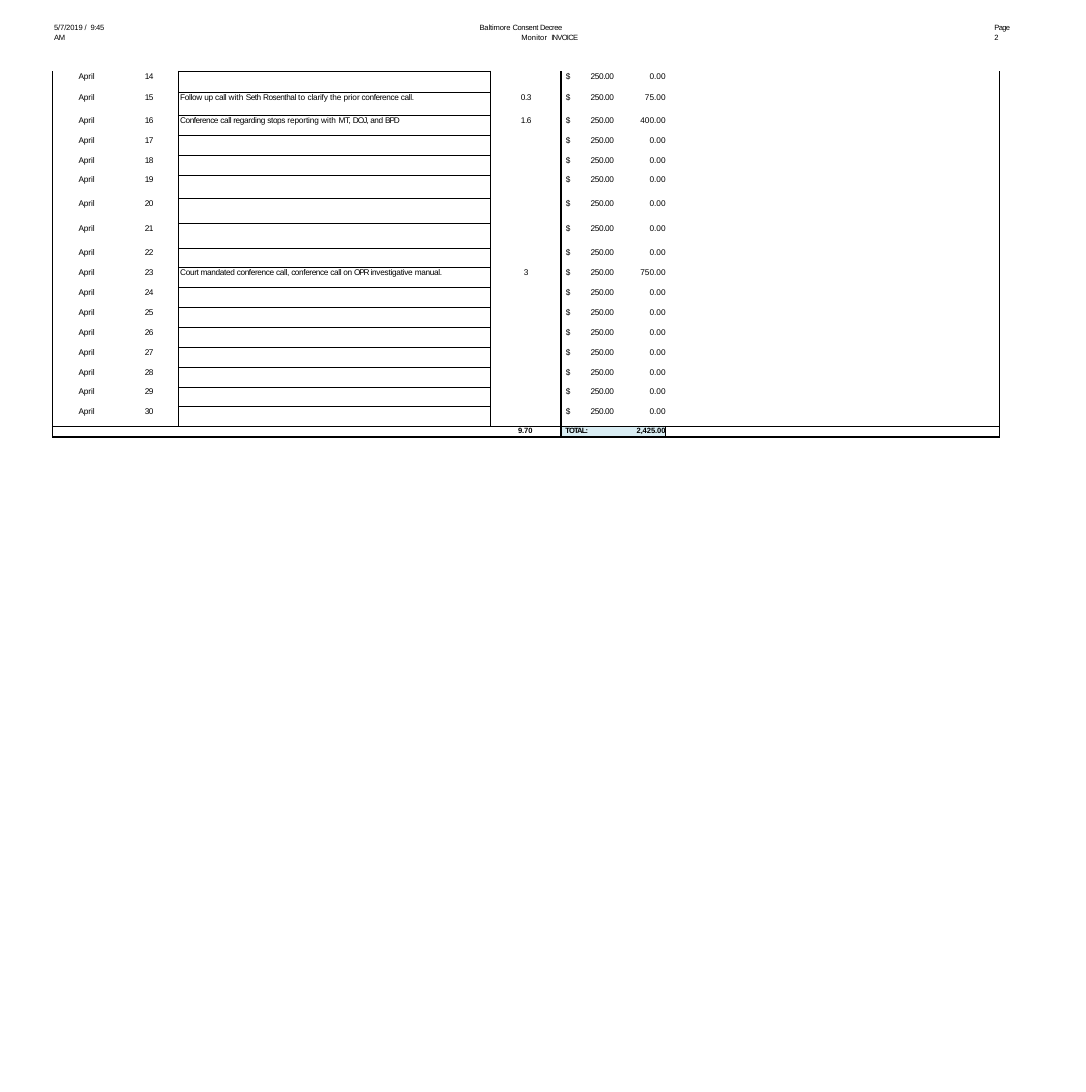
from lxml.etree import SubElement
from pptx import Presentation
from pptx.dml.color import RGBColor
from pptx.enum.text import PP_ALIGN
from pptx.oxml.ns import qn
from pptx.util import Pt

COLORS = {"ink": "000000", "total": "D9EDF3"}
EMU_PER_PX = 9144  # 100 px to the inch
PAGE_WIDTH, PAGE_HEIGHT = Pt(1575), Pt(1583)
NO_GRID_STYLE = "{2D5ABB26-0587-4C30-8999-92F81FD0307C}"
NONE, THIN, THICK = 0, 1, 2.25

COLUMN_WIDTHS = [134, 119, 628, 143, 127, 84, 673]
TALL_ROWS = {14: 43, 15: 46, 19: 48, 20: 50, 21: 49}
ROW_HEIGHT, TOTAL_HEIGHT = 40, 21
DAYS = range(14, 31)

# Day: hours, whole dollars, description as (text, letter spacing)
WORK = {
    15: ([("0.3", -0.6)], "75", [
        ("Follow ", -0.5), ("up ", -0.4), ("call ", -0.5), ("with ", 0.1),
        ("Seth ", -0.8), ("Rosenthal ", -0.7), ("to ", 0.1), ("clarify ", -0.3),
        ("the prior", -0.1), (" conference ", -0.6), ("call.", -0.5)]),
    16: ([("1.6", -0.6)], "400", [
        ("Conference ", -0.7), ("call regarding ", -0.5), ("stops ", -0.6),
        ("reporting ", -0.2), ("with ", 0.1), ("MT, ", -0.6), ("DOJ, ", -1.4),
        ("and ", -0.6), ("BPD", -1.6)]),
    23: ([("3", 0)], "750", [
        ("Court mandated ", -0.5), ("conference ", -0.6), ("call, ", -0.5),
        ("conference ", -0.6), ("call on ", -0.5), ("OPR ", -1.8),
        ("investigative ", -0.4), ("manual.", -0.5)]),
}
NO_WORK = ([], "0", [])

# Borders of a day row, by column
DAY_BORDERS = {
    0: {"L": THICK}, 1: {"R": THIN}, 2: dict.fromkeys("LRTB", THIN),
    3: {"L": THIN, "R": THICK}, 6: {"R": THICK},
}


def px(length):
    return length * EMU_PER_PX


def write_text(paragraph, text, size=12, spacing=0, bold=False, font="Arial"):
    run = paragraph.add_run()
    run.text = text
    run.font.size = Pt(size)
    run.font.name = font
    run.font.bold = bold
    run.font.color.rgb = RGBColor.from_string(COLORS["ink"])
    run.font._element.set("spc", str(round(spacing * 100)))


def format_paragraph(paragraph, align=PP_ALIGN.LEFT, line=None, indent=0, first=0, tab=None):
    paragraph.alignment = align
    if line:
        paragraph.line_spacing = line
    properties = paragraph._p.get_or_add_pPr()
    properties.set("marL", str(px(indent)))
    properties.set("indent", str(px(first)))
    if tab:
        tabs = SubElement(properties, qn("a:tabLst"))
        SubElement(tabs, qn("a:tab"), pos=str(px(tab)), algn="l")


class InvoicePage:
    def __init__(self, presentation):
        self.slide = presentation.slides.add_slide(presentation.slide_layouts[6])

    def header(self, left, top, width, height, runs, **layout):
        shape = self.slide.shapes.add_textbox(px(left), px(top), px(width), px(height))
        frame = shape.text_frame
        frame.word_wrap = True
        frame.margin_left = frame.margin_right = frame.margin_bottom = 0
        frame.margin_top = px(2)
        format_paragraph(frame.paragraphs[0], **layout)
        for text, spacing in runs:
            write_text(frame.paragraphs[0], text, size=11, spacing=spacing)

    def table(self, left, top, widths, heights):
        shape = self.slide.shapes.add_table(
            len(heights), len(widths), px(left), px(top), px(sum(widths)), px(sum(heights)))
        table = shape.table
        table.first_row = table.horz_banding = False
        table._tbl.tblPr.find(qn("a:tableStyleId")).text = NO_GRID_STYLE
        for column, width in zip(table.columns, widths):
            column.width = px(width)
        for row, height in zip(table.rows, heights):
            row.height = px(height)
        return table

    def cell(self, cell, runs=(), borders=None, fill=None, size=12, bold=False,
             right=0, line=14.3, **layout):
        cell.margin_left = cell.margin_top = cell.margin_bottom = 0
        cell.margin_right = px(right)
        paragraph = cell.text_frame.paragraphs[0]
        format_paragraph(paragraph, line=Pt(line), **layout)
        for text, spacing, *font in runs:
            write_text(paragraph, text, size=size, spacing=spacing, bold=bold,
                       font=font[0] if font else "Arial")
        if not runs:
            SubElement(paragraph._p, qn("a:endParaRPr"), sz=str(size * 100))
        self.borders(cell, borders or {})
        if fill:
            cell.fill.solid()
            cell.fill.fore_color.rgb = RGBColor.from_string(COLORS[fill])
        else:
            cell.fill.background()

    def borders(self, cell, widths):
        properties = cell._tc.get_or_add_tcPr()
        for side in "LRTB":
            if side not in widths:
                continue
            line = SubElement(properties, qn("a:ln" + side), w=str(Pt(widths[side])))
            if widths[side] == NONE:
                SubElement(line, qn("a:noFill"))
            else:
                solid = SubElement(line, qn("a:solidFill"))
                SubElement(solid, qn("a:srgbClr"), val=COLORS["ink"])

    def day_row(self, cells, day, is_last):
        hours, dollars, description = WORK.get(day, NO_WORK)
        center, to_right = {"align": PP_ALIGN.CENTER}, {"align": PP_ALIGN.RIGHT}
        contents = [
            ([("April", -0.2)], {"indent": 3, **center}),
            ([(str(day), -0.6)], {"indent": 2, **center}),
            (description, {"indent": 4}),
            (hours, {"indent": 3, **center}),
            ([("$\t250.00", -0.6)], {"indent": 10, "tab": 62}),
            ([(dollars, 0), (".", -0.1), ("00", 0)], to_right),
            ([], {}),
        ]
        for column, (runs, layout) in enumerate(contents):
            borders = dict(DAY_BORDERS.get(column, {}))
            if is_last:
                borders["B"] = THICK
            self.cell(cells[column], runs, borders, **layout)

    def total_row(self, cells):
        to_right = {"align": PP_ALIGN.RIGHT}
        frame = dict.fromkeys("LRTB", THICK)
        open_left, open_right = {**frame, "L": NONE}, {**frame, "R": NONE}
        inside = {**open_left, "R": NONE}
        contents = [
            ([("9.7", -0.1), ("0", 0)], frame, {"right": 57, **to_right}),
            ([], inside, {}),
            ([], inside, {}),
            ([], open_left, {}),
            ([("TOTAL:", -1.3)], open_right, {"indent": 9, "fill": "total"}),
            ([("2", 0), (",", -0.1, "Times New Roman"), ("425.0", -0.1), ("0", 0)],
             open_left, {"fill": "total", **to_right}),
            ([], frame, {}),
        ]
        for cell, (runs, borders, layout) in zip(cells, contents):
            self.cell(cell, runs, borders, size=11, bold=True, line=12.9, **layout)
        cells[0].merge(cells[3])


def main():
    presentation = Presentation()
    presentation.slide_width, presentation.slide_height = PAGE_WIDTH, PAGE_HEIGHT
    page = InvoicePage(presentation)

    # Page header: date, title, page number
    page.header(108, 45, 122, 21, [
        ("5/7/2019 ", -0.2), ("/ ", 1.2), ("9:45 ", -0.5), ("AM", -0.3)], indent=1)
    page.header(965, 42, 223, 43, [
        ("Baltimore ", -0.2), ("Consent ", -0.6), ("Decree ", -0.7), ("Monitor", 0.1),
        (" ", 3), ("INVOICE", -1.1)], indent=85, first=-84, line=1.09)
    page.header(2002, 45, 42, 21, [("Page ", -1), ("2", -0.6)], indent=1)

    # Invoice table: one row a day, then the total
    heights = [TALL_ROWS.get(day, ROW_HEIGHT) for day in DAYS] + [TOTAL_HEIGHT]
    table = page.table(106, 143, COLUMN_WIDTHS, heights)
    for row, day in zip(table.rows, DAYS):
        page.day_row(row.cells, day, is_last=day == DAYS[-1])
    page.total_row([table.cell(len(DAYS), column) for column in range(len(COLUMN_WIDTHS))])

    presentation.save("out.pptx")


if __name__ == "__main__":
    main()
